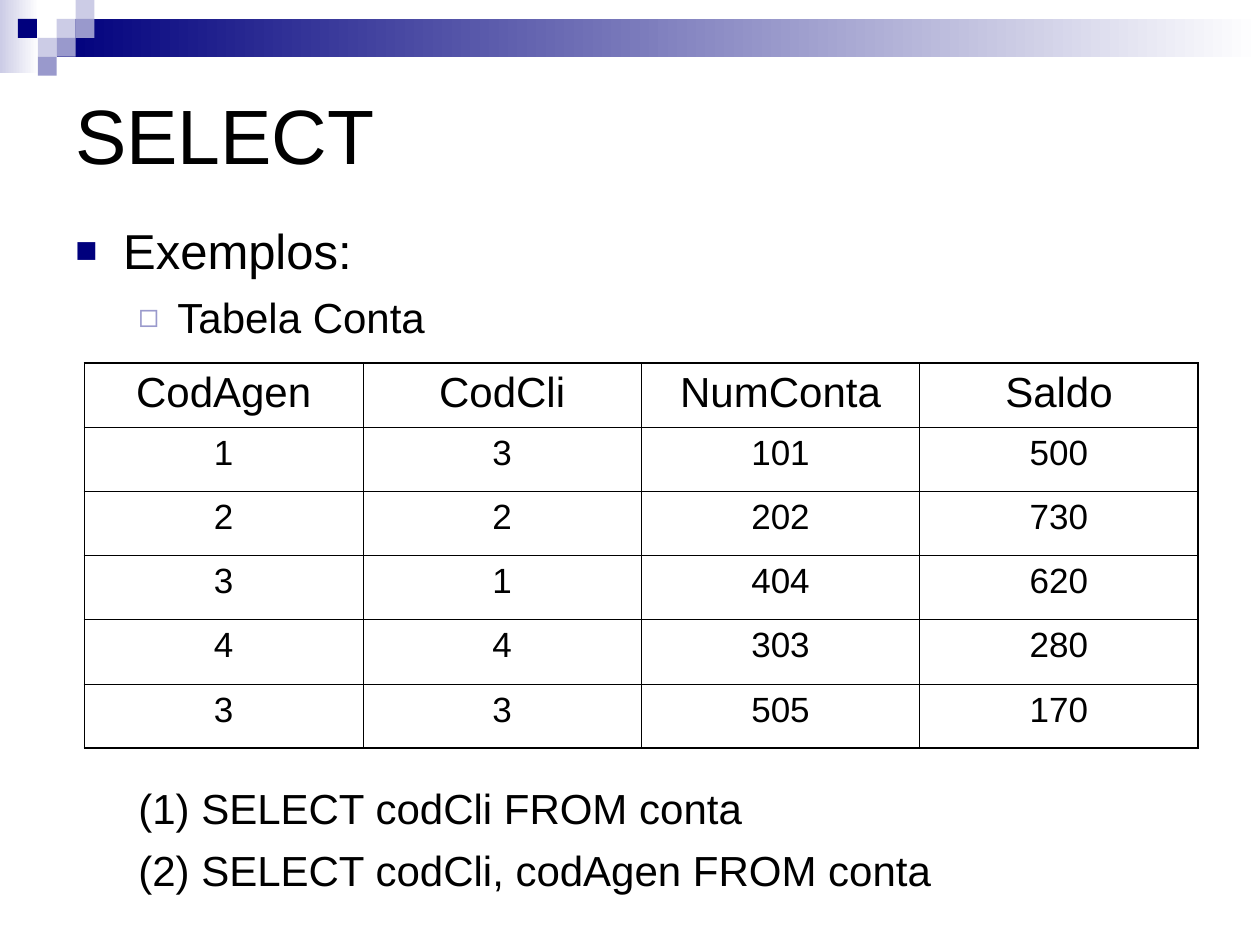
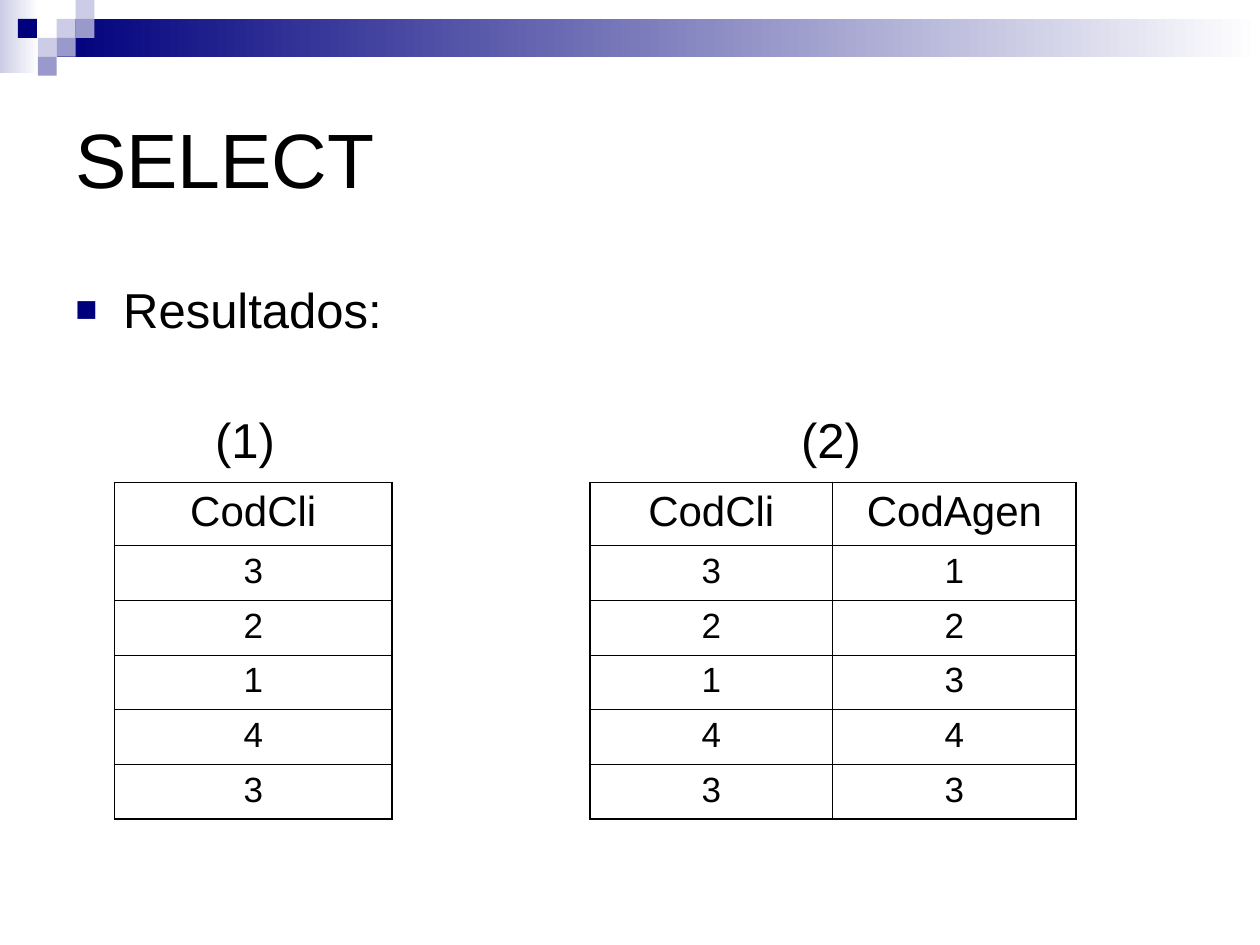
from dataclasses import dataclass

from lxml.etree import SubElement
from pptx import Presentation
from pptx.dml.color import RGBColor
from pptx.enum.shapes import MSO_SHAPE as Preset
from pptx.enum.text import MSO_ANCHOR as Anchor, PP_ALIGN as Align
from pptx.oxml import parse_xml
from pptx.oxml.ns import nsdecls, qn
from pptx.util import Inches, Pt


@dataclass(frozen=True)
class Theme:
    font: str = "Arial"
    ink: str = "000000"
    paper: str = "FFFFFF"
    navy: str = "00007D"
    violet: str = "9999CC"
    mist: str = "CCCCE6"
    title: int = 44
    heading: int = 28
    body: int = 24
    value: int = 20
    gap: int = 7
    outer_line: float = 1.08
    inner_line: float = 0.45


@dataclass(frozen=True)
class Bullet:
    mark: str
    color: str
    percent: int
    margin: float
    hang: float


THEME = Theme()
COLUMNS, ROWS = 100, 75
CELL = Inches(0.1)
TILE = 1.5
SQUARE = Bullet("■", THEME.navy, 75, 3.8, 3.8)
HOLLOW = Bullet("◻", THEME.violet, 80, 8.1, 3.1)
TILES = [
    (3, 1, THEME.mist), (4, 0, THEME.mist), (4, 1, THEME.violet),
    (2, 2, THEME.mist), (0.95, 1, THEME.navy), (3, 2, THEME.violet),
    (2, 3, THEME.violet),
]
ACCOUNTS = [
    ("CodAgen", "CodCli", "NumConta", "Saldo"),
    ("1", "3", "101", "500"),
    ("2", "2", "202", "730"),
    ("3", "1", "404", "620"),
    ("4", "4", "303", "280"),
    ("3", "3", "505", "170"),
]


def cells(*counts):
    return [round(count * CELL) for count in counts]


def rgb(code):
    return RGBColor.from_string(code)


def add_block(page, area, color, fade_to=None):
    block = page.shapes.add_shape(Preset.RECTANGLE, *cells(*area))
    block.shadow.inherit = False
    block.line.fill.background()
    if fade_to is None:
        block.fill.solid()
        block.fill.fore_color.rgb = rgb(color)
        return
    block.fill.gradient()
    block.fill.gradient_angle = 0
    for stop, position, code in zip(block.fill.gradient_stops, (0, 1), (color, fade_to)):
        stop.position = position
        stop.color.rgb = rgb(code)


def add_banner(page):
    add_block(page, (0, 0, 3.1, 5.8), THEME.mist, THEME.paper)
    add_block(page, (3 * TILE, TILE, COLUMNS - 3 * TILE, 2 * TILE), THEME.navy, THEME.paper)
    for column, row, color in TILES:
        add_block(page, (column * TILE, row * TILE, TILE, TILE), color)


def add_span(para, text, size):
    span = para.add_run()
    span.text = text
    span.font.name = THEME.font
    span.font.size = Pt(size)
    span.font.color.rgb = rgb(THEME.ink)


def set_bullet(para, bullet):
    props = para._p.get_or_add_pPr()
    margin, hang = cells(bullet.margin, bullet.hang)
    props.set("marL", str(margin))
    props.set("indent", str(-hang))
    color = SubElement(props, qn("a:buClr"))
    SubElement(color, qn("a:srgbClr"), val=bullet.color)
    SubElement(props, qn("a:buSzPct"), val=str(bullet.percent * 1000))
    SubElement(props, qn("a:buFont"), typeface=THEME.font)
    SubElement(props, qn("a:buChar"), char=bullet.mark)


def add_text(page, area, lines, anchor=Anchor.TOP):
    frame = page.shapes.add_textbox(*cells(*area)).text_frame
    frame.word_wrap = True
    frame.vertical_anchor = anchor
    for index, (text, size, bullet) in enumerate(lines):
        para = frame.add_paragraph() if index else frame.paragraphs[0]
        if bullet:
            set_bullet(para, bullet)
        if index:
            para.space_before = Pt(THEME.gap)
        add_span(para, text, size)


def set_borders(cell, widths):
    props = cell._tc.get_or_add_tcPr()
    for index, (side, width) in enumerate(zip("LRTB", widths)):
        props.insert(index, parse_xml(
            f'<a:ln{side} {nsdecls("a")} w="{Pt(width)}"><a:solidFill>'
            f'<a:srgbClr val="{THEME.ink}"/></a:solidFill></a:ln{side}>'))


def add_grid(page, left, top, column_width, header_height, row_height, records):
    row_count, column_count = len(records), len(records[0])
    heights = [header_height] + [row_height] * (row_count - 1)
    area = cells(left, top, column_width * column_count, sum(heights))
    table = page.shapes.add_table(row_count, column_count, *area).table
    table.first_row = table.horz_banding = False
    for column in table.columns:
        column.width = cells(column_width)[0]
    for y, record in enumerate(records):
        table.rows[y].height = cells(heights[y])[0]
        for x, text in enumerate(record):
            cell = table.cell(y, x)
            cell.fill.background()
            edges = (x == 0, x == column_count - 1, y == 0, y == row_count - 1)
            set_borders(cell, [THEME.outer_line if edge else THEME.inner_line for edge in edges])
            para = cell.text_frame.paragraphs[0]
            para.alignment = Align.CENTER
            add_span(para, text, THEME.value if y else THEME.body)


def add_page(deck, title, title_height):
    page = deck.slides.add_slide(deck.slide_layouts[6])
    add_banner(page)
    add_text(page, (5, 5, 90, title_height), [(title, THEME.title, None)], Anchor.MIDDLE)
    return page


def pick(*names):
    places = [ACCOUNTS[0].index(name) for name in names]
    return [[record[place] for place in places] for record in ACCOUNTS]


def add_examples(deck):
    page = add_page(deck, "SELECT", 11.2)
    add_text(page, (5, 17, 92.3, 11), [
        ("Exemplos:", THEME.heading, SQUARE),
        ("Tabela Conta", THEME.body, HOLLOW),
    ])
    add_grid(page, 6.7, 28.8, 22.1, 5.1, 5.1, ACCOUNTS)
    add_text(page, (10, 61.6, 87.3, 11), [
        ("(1) SELECT codCli FROM conta", THEME.body, None),
        ("(2) SELECT codCli, codAgen FROM conta", THEME.body, None),
    ])


def add_results(deck):
    page = add_page(deck, "SELECT", 15)
    add_text(page, (5, 21.7, 90.7, 8), [("Resultados:", THEME.heading, SQUARE)])
    results = [
        ("(1)", 16.1, 9.1, 22, ("CodCli",)),
        ("(2)", 62.6, 46.8, 19.3, ("CodCli", "CodAgen")),
    ]
    for label, label_left, left, column_width, names in results:
        add_grid(page, left, 38.3, column_width, 5, 4.33, pick(*names))
        add_text(page, (label_left, 32, 11, 5.7), [(label, THEME.heading, None)])


def main():
    deck = Presentation()
    deck.slide_width, deck.slide_height = cells(COLUMNS, ROWS)
    add_examples(deck)
    add_results(deck)
    deck.save("out.pptx")


if __name__ == "__main__":
    main()
